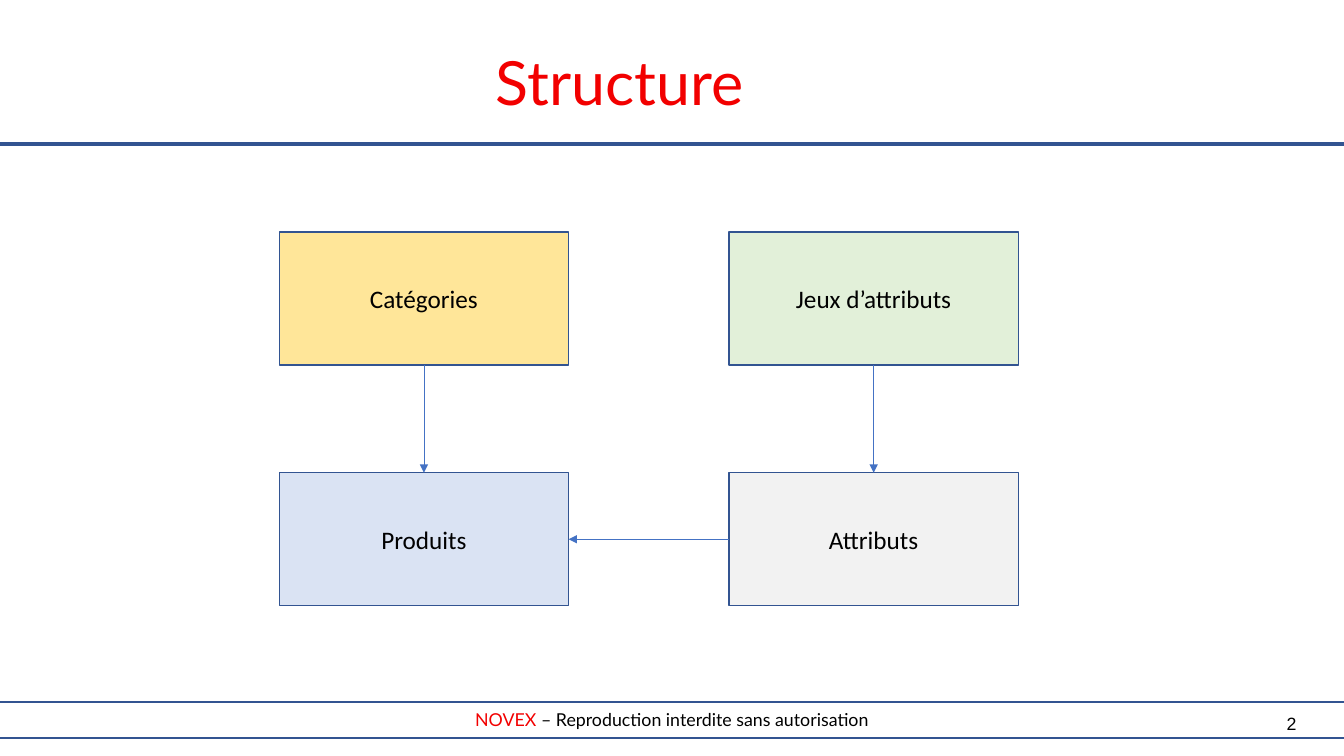
from lxml.etree import SubElement
from pptx import Presentation
from pptx.dml.color import RGBColor
from pptx.enum.shapes import MSO_CONNECTOR, MSO_SHAPE
from pptx.enum.text import MSO_ANCHOR, PP_ALIGN
from pptx.oxml.ns import qn
from pptx.util import Inches, Pt

RED = RGBColor(0xF2, 0x00, 0x00)
BLACK = RGBColor(0x00, 0x00, 0x00)
NAVY = RGBColor(0x32, 0x54, 0x91)
ARROW_BLUE = RGBColor(0x44, 0x72, 0xC4)
YELLOW = RGBColor(0xFF, 0xE6, 0x99)
GREEN = RGBColor(0xE2, 0xF0, 0xD9)
BLUE = RGBColor(0xDA, 0xE3, 0xF3)
GREY = RGBColor(0xF2, 0xF2, 0xF2)

SLIDE_WIDTH = 13.33
LEFT_COLUMN, RIGHT_COLUMN = 2.77, 7.23
TOP_ROW, BOTTOM_ROW = 2.3, 4.69
BOX_WIDTH, BOX_HEIGHT = 2.87, 1.32


def style_text(frame, font_name, size, color, align, margin):
    """Format all the text of a frame and set its four margins in inches."""
    frame.word_wrap = True
    frame.margin_left = frame.margin_right = Inches(margin)
    frame.margin_top = frame.margin_bottom = Inches(margin)
    for paragraph in frame.paragraphs:
        paragraph.alignment = align
        for run in paragraph.runs:
            run.font.name = font_name
            run.font.size = Pt(size)
            run.font.color.rgb = color


def add_line(slide, start, end, color, width):
    """Draw a straight line without shadow between two points in inches."""
    line = slide.shapes.add_connector(
        MSO_CONNECTOR.STRAIGHT, *(Inches(value) for value in start + end))
    line.line.color.rgb = color
    line.line.width = Pt(width)
    SubElement(line._element.spPr, qn("a:effectLst"))
    return line


presentation = Presentation()
presentation.slide_width = Inches(SLIDE_WIDTH)
presentation.slide_height = Inches(7.5)
slide = presentation.slides.add_slide(presentation.slide_layouts[5])

# Footer band, wider than the slide so that only its long edges show
footer = slide.shapes.add_shape(
    MSO_SHAPE.RECTANGLE, Inches(-0.24), Inches(6.96), Inches(13.81), Inches(0.36))
footer.shadow.inherit = False
footer.fill.background()
footer.line.color.rgb = NAVY
footer.line.width = Pt(1.42)
footer.text_frame.vertical_anchor = MSO_ANCHOR.MIDDLE
footer_text = footer.text_frame.paragraphs[0]
for wording in ("NOVEX", " – Reproduction interdite sans autorisation"):
    footer_text.add_run().text = wording
style_text(footer.text_frame, "Lato", 12.7, BLACK, PP_ALIGN.CENTER, 0.01)
footer_text.runs[0].font.color.rgb = RED

# Title and the rule below it
add_line(slide, (0, 1.43), (SLIDE_WIDTH, 1.43), NAVY, 2.83)
title = slide.shapes.title
title.left, title.top = Inches(0.55), Inches(0.44)
title.width, title.height = Inches(11.19), Inches(0.73)
title.text_frame.text = "Structure"
title.text_frame.vertical_anchor = MSO_ANCHOR.MIDDLE
style_text(title.text_frame, "Lato", 43.5, RED, PP_ALIGN.CENTER, 0)

page_number = slide.shapes.add_textbox(
    Inches(12.38), Inches(7.07), Inches(0.48), Inches(0.39))
page_number.text_frame.text = "2"
style_text(page_number.text_frame, "Arial", 12.7, BLACK, PP_ALIGN.RIGHT, 0)

# Catalogue entities
entities = {}
for name, left, top, color in (
    ("Catégories", LEFT_COLUMN, TOP_ROW, YELLOW),
    ("Jeux d’attributs", RIGHT_COLUMN, TOP_ROW, GREEN),
    ("Produits", LEFT_COLUMN, BOTTOM_ROW, BLUE),
    ("Attributs", RIGHT_COLUMN, BOTTOM_ROW, GREY),
):
    entity = slide.shapes.add_shape(
        MSO_SHAPE.RECTANGLE, Inches(left), Inches(top),
        Inches(BOX_WIDTH), Inches(BOX_HEIGHT))
    entity.shadow.inherit = False
    entity.fill.solid()
    entity.fill.fore_color.rgb = color
    entity.line.color.rgb = NAVY
    entity.line.width = Pt(1)
    entity.text_frame.text = name
    entity.text_frame.vertical_anchor = MSO_ANCHOR.MIDDLE
    style_text(entity.text_frame, "Calibri", 18, BLACK, PP_ALIGN.CENTER, 0.05)
    entities[name] = entity

# Arrows glued to the box sides
TOP, LEFT, BOTTOM, RIGHT = range(4)
for source, source_side, target, target_side in (
    ("Catégories", BOTTOM, "Produits", TOP),
    ("Jeux d’attributs", BOTTOM, "Attributs", TOP),
    ("Attributs", LEFT, "Produits", RIGHT),
):
    relation = add_line(slide, (0, 0), (1, 1), ARROW_BLUE, 0.5)
    relation.begin_connect(entities[source], source_side)
    relation.end_connect(entities[target], target_side)
    SubElement(relation.line._get_or_add_ln(), qn("a:tailEnd"), type="triangle")

presentation.save("out.pptx")
